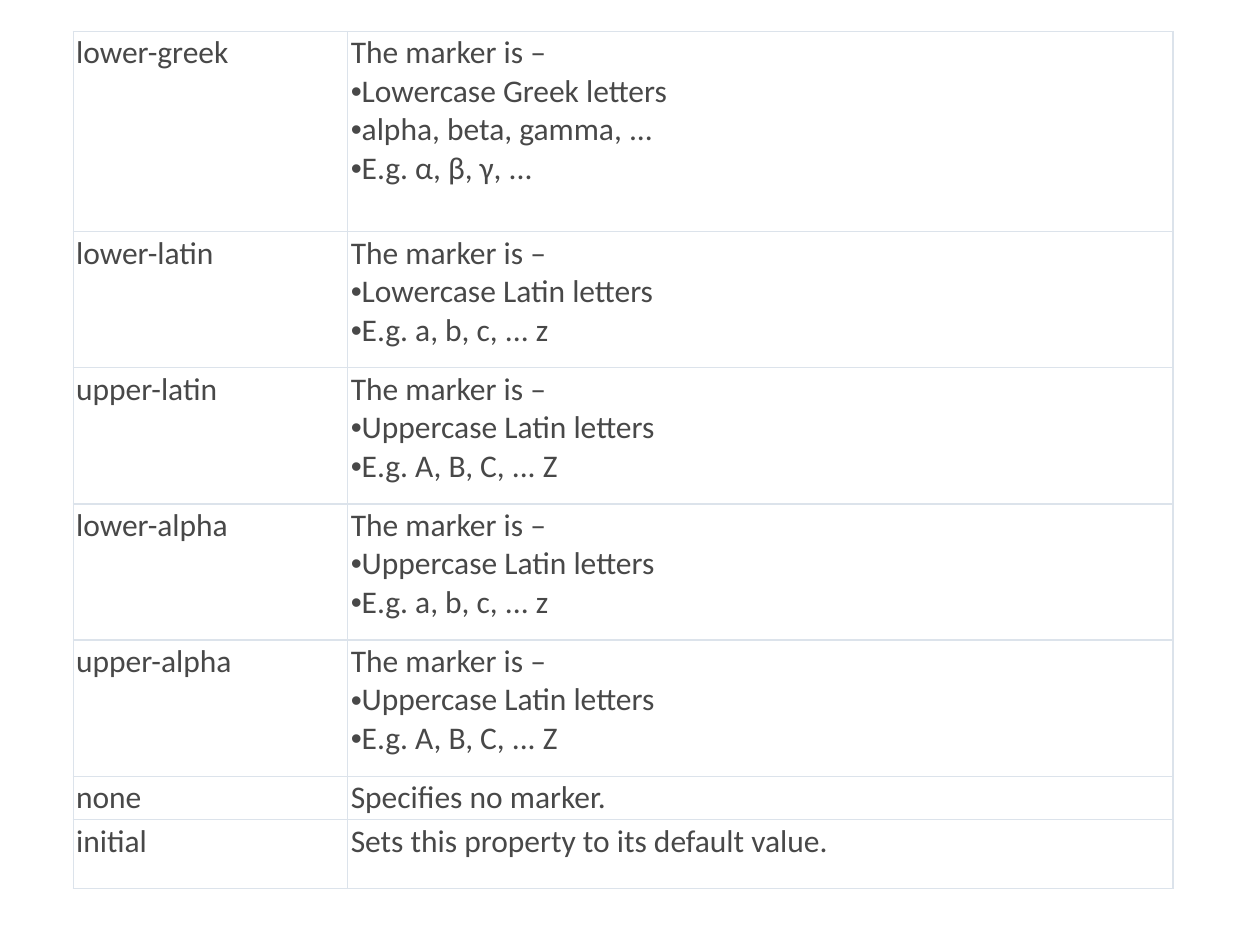
from pptx import Presentation
from pptx.dml.color import RGBColor as RGB
from pptx.oxml.ns import qn
from pptx.util import Inches, Pt
from lxml.etree import SubElement as Sub

COLORS = {"text": "484848", "border": "DCE3EB", "fill": "FFFFFF"}
FONT = {"name": "Calibri", "size": Pt(18), "bold": False}
MARGINS = {"margin_left": Pt(1.75), "margin_right": Pt(1.75),
           "margin_top": Inches(0.02), "margin_bottom": Inches(0.02)}
COL_WIDTHS = (2.18, 6.55)
INTRO = "The marker is –"

# Value, row height, lead line, bulleted lines
MARKERS = [
    ("lower-greek", 1.59, INTRO, ["Lowercase Greek letters",
                                  "alpha, beta, gamma, ...",
                                  "E.g. α, β, γ, ..."]),
    ("lower-latin", 1.08, INTRO, ["Lowercase Latin letters", "E.g. a, b, c, ... z"]),
    ("upper-latin", 1.08, INTRO, ["Uppercase Latin letters", "E.g. A, B, C, ... Z"]),
    ("lower-alpha", 1.08, INTRO, ["Uppercase Latin letters", "E.g. a, b, c, ... z"]),
    ("upper-alpha", 1.08, INTRO, ["Uppercase Latin letters", "E.g. A, B, C, ... Z"]),
    ("none", 0.29, "Specifies no marker.", []),
    ("initial", 0.55, "Sets this property to its default value.", []),
]


def set_attrs(obj, values):
    for name, value in values.items():
        setattr(obj, name, value)


def add_borders(cell):
    tc_pr = cell._tc.get_or_add_tcPr()
    for tag in ("a:lnL", "a:lnR", "a:lnT", "a:lnB"):
        ln = Sub(tc_pr, qn(tag), w=str(Pt(0.75)))
        fill = Sub(ln, qn("a:solidFill"))
        Sub(fill, qn("a:srgbClr"), val=COLORS["border"])


def add_bullet(p):
    p_pr = p._p.get_or_add_pPr()
    p_pr.set("marL", "0")
    p_pr.set("indent", "0")
    Sub(p_pr, qn("a:buFont"), typeface="Arial")
    Sub(p_pr, qn("a:buChar"), char="•")


def fill_cell(cell, lead, bullets=()):
    set_attrs(cell, MARGINS)
    add_borders(cell)
    cell.fill.solid()
    cell.fill.fore_color.rgb = RGB.from_string(COLORS["fill"])
    tf = cell.text_frame
    for i, line in enumerate([lead, *bullets]):
        p = tf.add_paragraph() if i else tf.paragraphs[0]
        if i:
            add_bullet(p)
        r = p.add_run()
        r.text = line
        set_attrs(r.font, FONT)
        r.font.color.rgb = RGB.from_string(COLORS["text"])


def add_marker_table(s):
    height = sum(row[1] for row in MARKERS)
    table = s.shapes.add_table(
        len(MARKERS), len(COL_WIDTHS), Inches(0.58), Inches(0.25),
        Inches(sum(COL_WIDTHS)), Inches(height)).table
    set_attrs(table, {"first_row": False, "horz_banding": False})
    for col, width in zip(table.columns, COL_WIDTHS):
        col.width = Inches(width)
    for row, (value, row_height, lead, bullets) in zip(table.rows, MARKERS):
        row.height = Inches(row_height)
        fill_cell(row.cells[0], value)
        fill_cell(row.cells[1], lead, bullets)


def main():
    prs = Presentation()
    set_attrs(prs, {"slide_width": Inches(10), "slide_height": Inches(7.5)})
    s = prs.slides.add_slide(prs.slide_layouts[6])
    add_marker_table(s)
    prs.save("out.pptx")


main()
